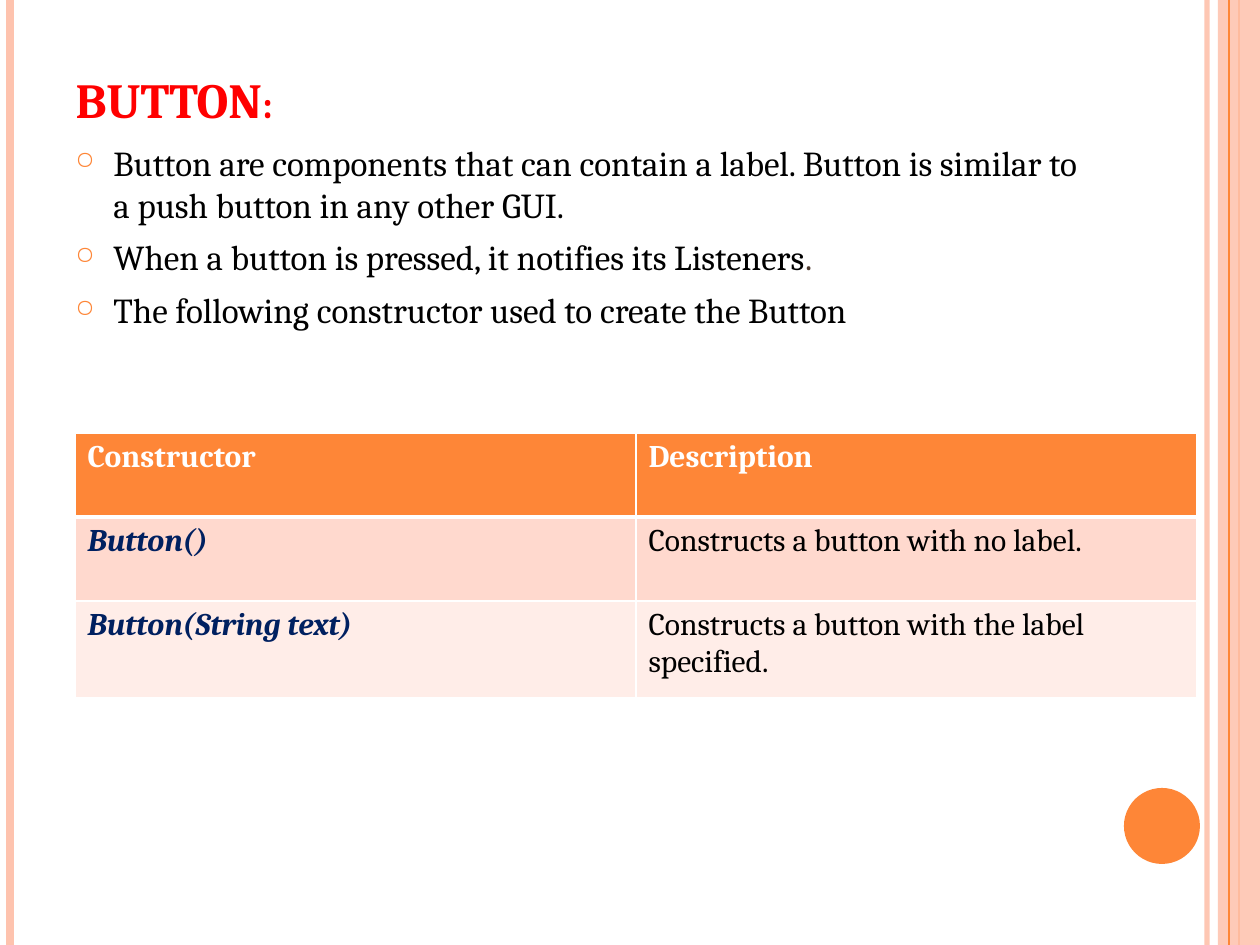
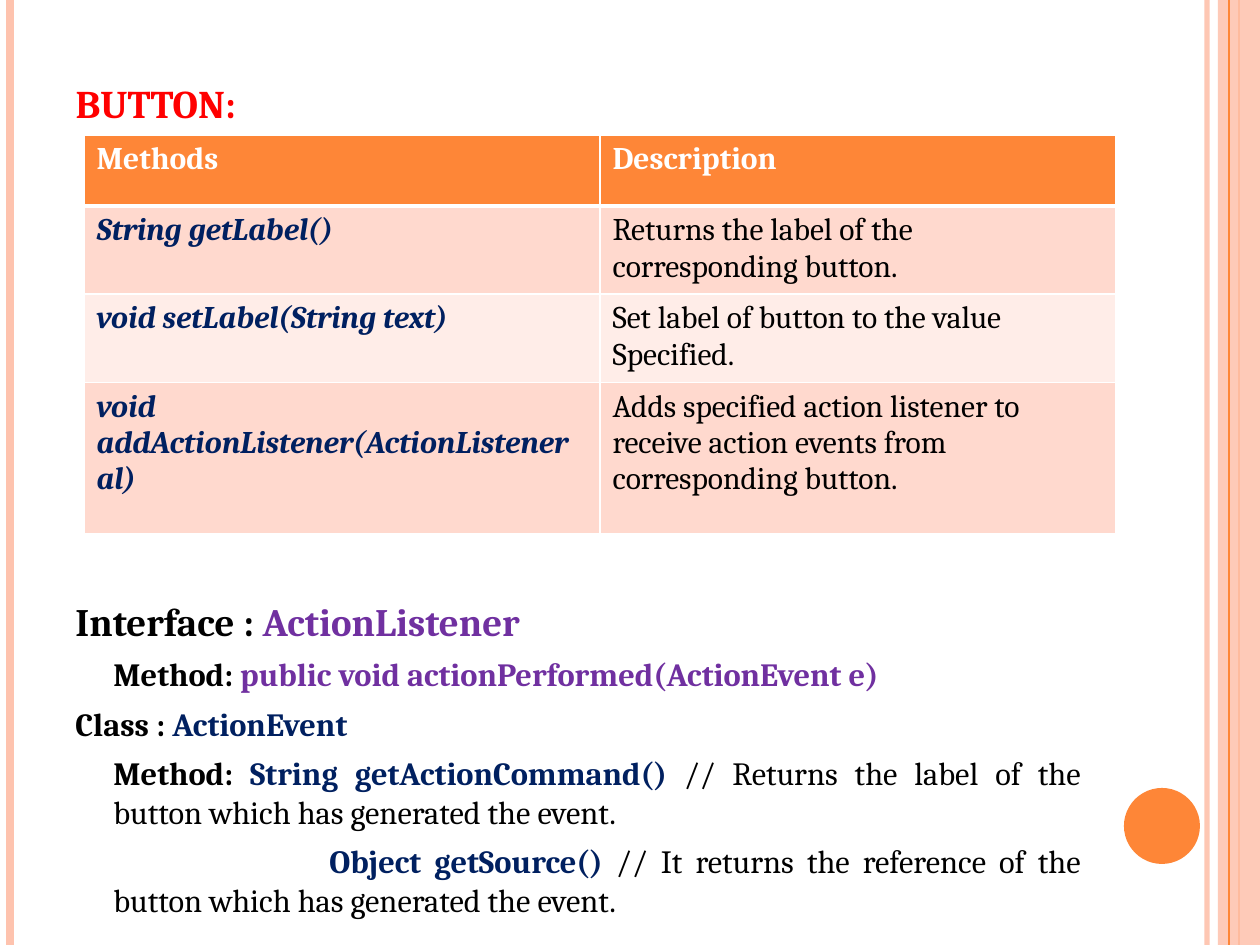
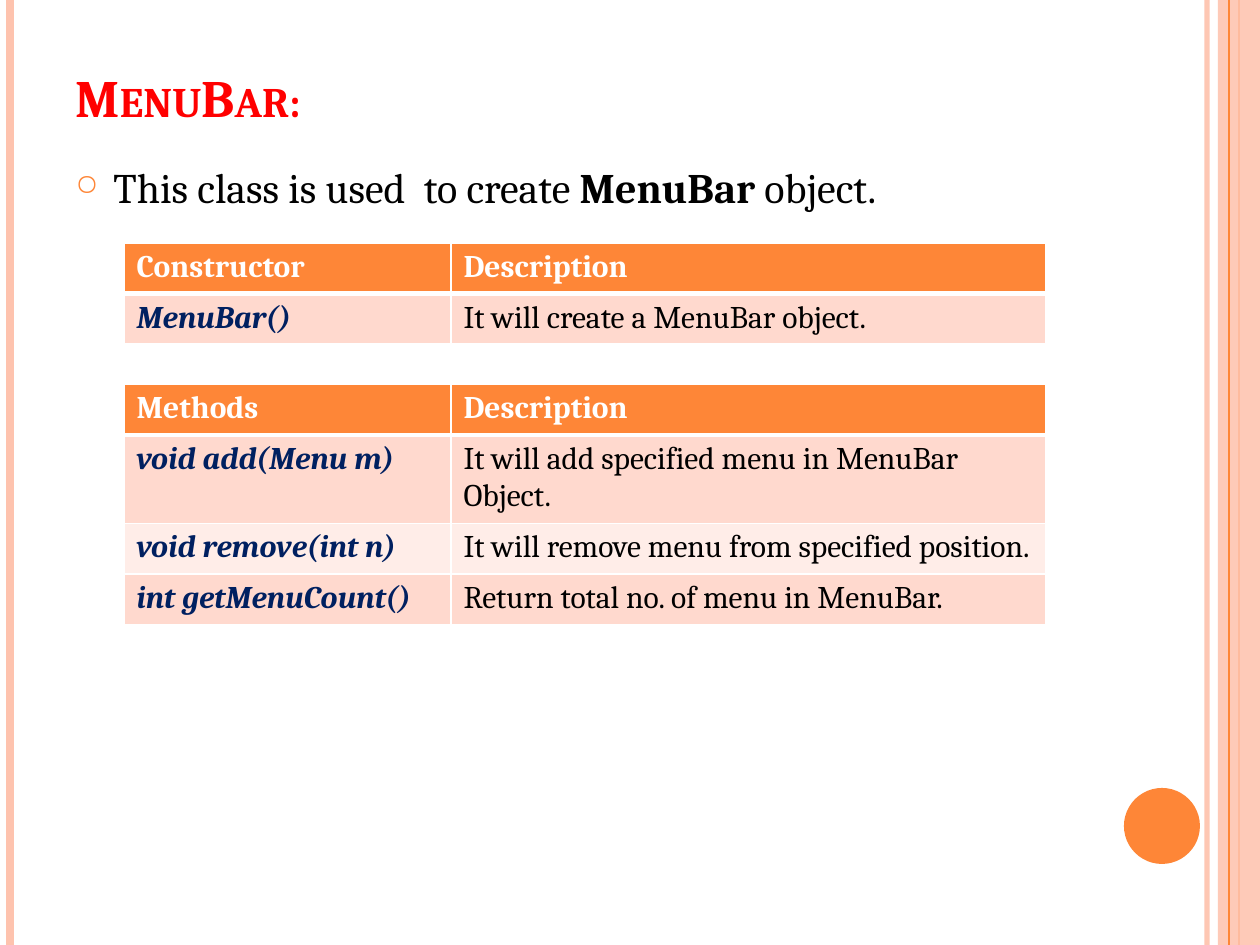
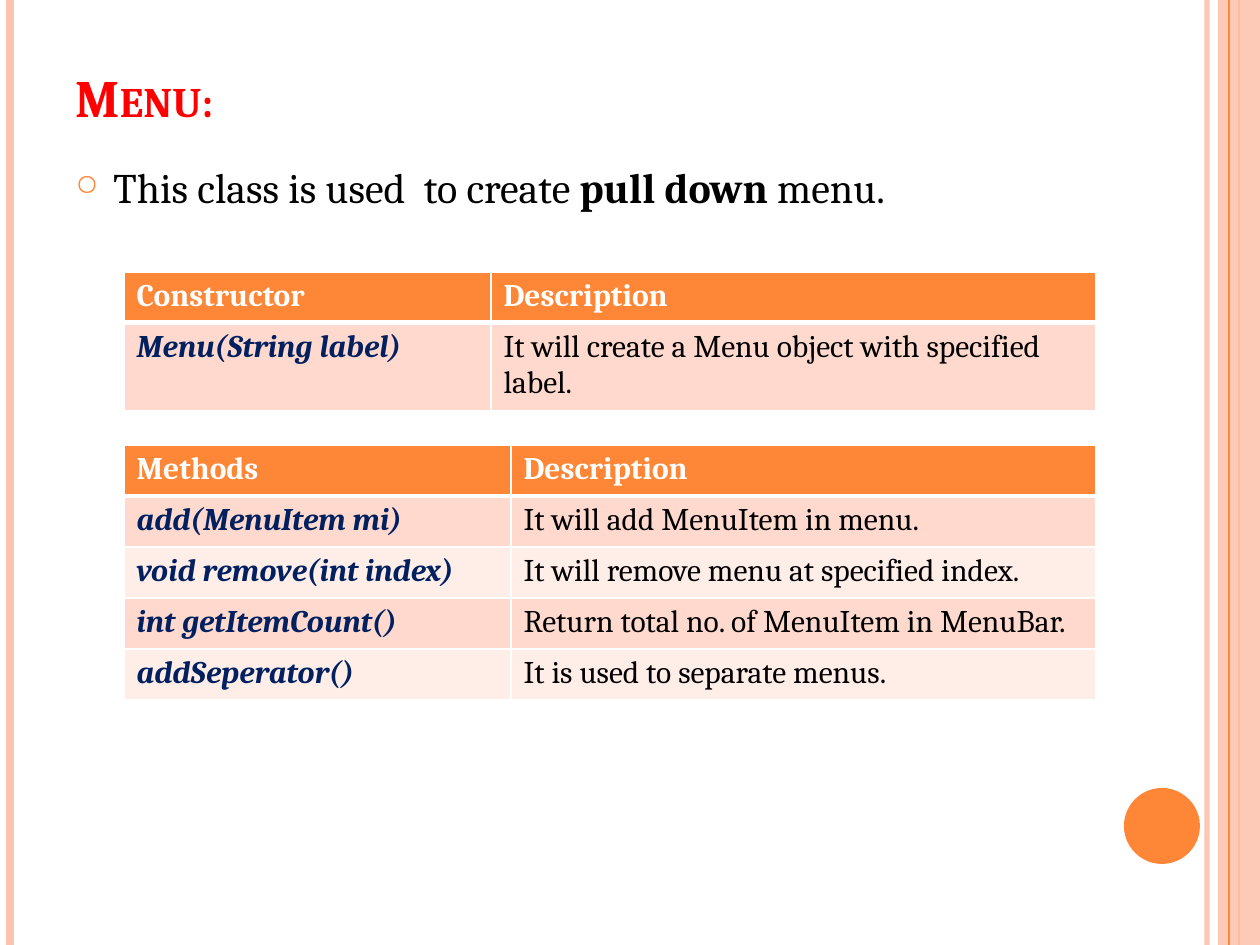
from typing import NamedTuple

from lxml.etree import SubElement
from pptx import Presentation
from pptx.dml.color import RGBColor
from pptx.enum.shapes import MSO_CONNECTOR, MSO_SHAPE
from pptx.enum.text import MSO_ANCHOR, MSO_AUTO_SIZE, PP_ALIGN
from pptx.oxml.ns import qn
from pptx.util import Emu, Pt

FONT = "Cambria"
ORANGE = RGBColor(0xFE, 0x86, 0x37)
PEACH = RGBColor(0xFE, 0xC3, 0xAE)
BAND_DARK = RGBColor(0xFF, 0xD9, 0xCE)
BAND_LIGHT = RGBColor(0xFF, 0xED, 0xE8)
RED = RGBColor(0xFF, 0x00, 0x00)
NAVY = RGBColor(0x00, 0x20, 0x60)
PURPLE = RGBColor(0x70, 0x30, 0xA0)
BROWN = RGBColor(0x4E, 0x3A, 0x2F)
BLACK = RGBColor(0x00, 0x00, 0x00)
WHITE = RGBColor(0xFF, 0xFF, 0xFF)

SLIDE_WIDTH, SLIDE_HEIGHT = 1260, 945
TEXT_LEFT, TEXT_WIDTH = 63, 1030
INDENT = 38


class Span(NamedTuple):
    """A piece of text with one look."""

    text: str
    color: RGBColor = BLACK
    bold: bool = False


class Line(NamedTuple):
    """A body paragraph with its indents in px."""

    spans: list
    size: float
    left: int = INDENT
    first: int = -INDENT
    bullet: bool = False


def px(length):
    """Turn px into EMU at 126 px to the inch."""
    return Emu(round(length * 914400 / 126))


def style_font(font, size, color, bold=False, italic=False):
    """Apply the deck's typeface with the given look."""
    font.name = FONT
    font.size = Pt(size)
    font.color.rgb = color
    font.bold = bold
    font.italic = italic


def set_alpha(shape, percent):
    """Make the explicit colour of a shape partly transparent."""
    color = shape.element.xpath("./p:spPr//a:srgbClr")[0]
    SubElement(color, qn("a:alpha"), val=str(percent * 1000))


def add_rule(slide, x, width):
    """Draw a vertical rule over the full slide height."""
    rule = slide.shapes.add_connector(
        MSO_CONNECTOR.STRAIGHT, px(x), px(0), px(x), px(SLIDE_HEIGHT))
    rule.line.width = Pt(width)
    SubElement(rule.element.spPr, qn("a:effectLst"))
    return rule


def add_colored_rule(slide, x, width, color):
    """Draw a vertical rule in a colour."""
    rule = add_rule(slide, x, width)
    rule.line.color.rgb = color
    return rule


def add_solid(slide, kind, left, top, width, height, color):
    """Draw a filled shape without outline."""
    shape = slide.shapes.add_shape(kind, px(left), px(top), px(width), px(height))
    shape.shadow.inherit = False
    shape.fill.solid()
    shape.fill.fore_color.rgb = color
    shape.line.fill.background()
    return shape


def decorate_layout(layout, slide):
    """Draw the side bands and the disc, then hand them to the layout."""
    inner_rule = add_colored_rule(slide, 1207, 3, PEACH)
    left_rule = add_colored_rule(slide, 10, 4.5, PEACH)
    edge_rule = add_colored_rule(slide, 1239, 1.5, ORANGE)
    band = add_solid(slide, MSO_SHAPE.RECTANGLE, 1218, 0, 42, SLIDE_HEIGHT, PEACH)
    thin_rule = add_colored_rule(slide, 1229, 0.75, ORANGE)
    disc = add_solid(slide, MSO_SHAPE.OVAL, 1124, 788, 76, 76, ORANGE)
    set_alpha(inner_rule, 93)
    set_alpha(band, 87)
    parts = [inner_rule, left_rule, edge_rule, band, thin_rule, disc]
    for number, part in enumerate(parts, start=20):
        part.element.xpath(".//p:cNvPr")[0].set("id", str(number))
        layout.shapes.element.append(part.element)


def set_title(slide, text, size):
    """Place and format the small-caps title."""
    title = slide.shapes.title
    title.left, title.top = px(TEXT_LEFT), px(38)
    title.width, title.height = px(TEXT_WIDTH), px(157)
    frame = title.text_frame
    frame.text = text
    frame.auto_size = MSO_AUTO_SIZE.NONE
    frame.vertical_anchor = MSO_ANCHOR.BOTTOM
    frame.margin_bottom = px(67)
    para = frame.paragraphs[0]
    para.alignment = PP_ALIGN.LEFT
    span = para.runs[0]
    style_font(span.font, size, RED, bold=True)
    span.font._element.set("cap", "small")


def add_bullet(properties):
    """Give a paragraph the small orange ring bullet."""
    color = SubElement(properties, qn("a:buClr"))
    SubElement(color, qn("a:srgbClr"), val=str(ORANGE))
    SubElement(properties, qn("a:buSzPct"), val="70000")
    SubElement(properties, qn("a:buChar"), char="○")


def add_body(slide, top, height, lines, alignment=PP_ALIGN.LEFT):
    """Add the body text, one paragraph for each line."""
    box = slide.shapes.add_textbox(
        px(TEXT_LEFT), px(top), px(TEXT_WIDTH), px(height))
    frame = box.text_frame
    frame.word_wrap = True
    for index, line in enumerate(lines):
        para = frame.add_paragraph() if index else frame.paragraphs[0]
        para.alignment = alignment
        if index:
            para.space_before = Pt(6)
        properties = para._p.get_or_add_pPr()
        properties.set("marL", str(px(line.left)))
        properties.set("indent", str(px(line.first)))
        if line.bullet:
            add_bullet(properties)
        for span in line.spans:
            run = para.add_run()
            run.text = span.text
            style_font(run.font, line.size, span.color, span.bold)


def set_borders(cell, bottom_width):
    """Draw white cell borders, with their own width at the bottom."""
    properties = cell._tc.get_or_add_tcPr()
    widths = {"a:lnL": 1, "a:lnR": 1, "a:lnT": 1, "a:lnB": bottom_width}
    for index, (tag, width) in enumerate(widths.items()):
        border = SubElement(properties, qn(tag), w=str(Pt(width)))
        fill = SubElement(border, qn("a:solidFill"))
        SubElement(fill, qn("a:srgbClr"), val=str(WHITE))
        properties.insert(index, border)


def format_cell(cell, row, column):
    """Colour a cell and its text by its place in the table."""
    cell.fill.solid()
    font = cell.text_frame.paragraphs[0].runs[0].font
    if row == 0:
        cell.fill.fore_color.rgb = ORANGE
        style_font(font, 18, WHITE, bold=True)
    else:
        cell.fill.fore_color.rgb = BAND_DARK if row % 2 else BAND_LIGHT
        signature = column == 0
        style_font(font, 18, NAVY if signature else BLACK, signature, signature)
    set_borders(cell, 1 if row else 3)


def add_reference_table(slide, left, top, widths, heights, heading, entries):
    """Add a table of signatures and their descriptions."""
    rows = [(heading, "Description"), *entries]
    table = slide.shapes.add_table(
        len(rows), len(widths), px(left), px(top),
        px(sum(widths)), px(sum(heights))).table
    for column, width in zip(table.columns, widths):
        column.width = px(width)
    for row, height in zip(table.rows, heights):
        row.height = px(height)
    for row, texts in enumerate(rows):
        for column, text in enumerate(texts):
            cell = table.cell(row, column)
            cell.text = text
            format_cell(cell, row, column)


def build_button_constructors(slide):
    """Introduce Button and its constructors."""
    set_title(slide, "BUTTON:", 28)
    points = [
        [Span("Button are components that can contain a label. "
              "Button is similar to a push button in any other GUI.")],
        [Span("When a button is pressed, it notifies its Listeners"),
         Span(".", BROWN)],
        [Span("The following constructor used to create the Button")],
    ]
    add_body(slide, 135, 757, [Line(spans, 20, bullet=True) for spans in points])
    add_reference_table(slide, 75, 433, [561, 561], [84, 84, 97], "Constructor", [
        ("Button()", "Constructs a button with no label."),
        ("Button(String text)", "Constructs a button with the label specified."),
    ])


def build_button_methods(slide):
    """List the Button methods and the event types."""
    set_title(slide, "button:", 28)
    add_body(slide, 591, 345, [
        Line([Span("Interface : ", bold=True),
              Span("ActionListener", PURPLE, True)], 22.2),
        Line([Span("Method:", bold=True),
              Span(" public void actionPerformed(ActionEvent e)", PURPLE, True)],
             18.5, first=0),
        Line([Span("Class : ", bold=True), Span("ActionEvent", NAVY, True)], 18.5),
        Line([Span("Method:", bold=True),
              Span(" String getActionCommand()", NAVY, True),
              Span(" // Returns the label of the button "
                   "which has generated the event.")], 18.5, first=0),
        Line([Span("Object getSource() ", NAVY, True),
              Span("// It returns the reference of the button "
                   "which has generated the event.")], 18.5, first=216),
    ], PP_ALIGN.JUSTIFY)
    add_reference_table(slide, 84, 135, [516, 516], [71, 88, 88, 151], "Methods", [
        ("String getLabel()", "Returns the label of the corresponding button."),
        ("void setLabel(String text)", "Set label of button to the value Specified."),
        ("void addActionListener(ActionListener al)",
         "Adds specified action listener to receive action events "
         "from corresponding button."),
    ])


def add_class_intro(slide, title, subject, ending):
    """Add the title and the one-line purpose of a menu class."""
    set_title(slide, title, 30)
    spans = [Span("This class is used  to create "),
             Span(subject, bold=True), Span(ending)]
    add_body(slide, 155, 737, [Line(spans, 24, bullet=True)])


def build_menu_bar(slide):
    """Describe the MenuBar class."""
    add_class_intro(slide, "MenuBar:", "MenuBar", " object.")
    widths = [327, 595]
    add_reference_table(slide, 124, 243, widths, [50, 49], "Constructor", [
        ("MenuBar()", "It will create a MenuBar object."),
    ])
    add_reference_table(slide, 124, 384, widths, [51, 85, 51, 51], "Methods", [
        ("void add(Menu m)", "It will add specified menu in MenuBar Object."),
        ("void remove(int n)", "It will remove menu from specified position."),
        ("int getMenuCount()", "Return total no. of menu in MenuBar."),
    ])


def build_menu(slide):
    """Describe the Menu class."""
    add_class_intro(slide, "Menu:", "pull down ", "menu.")
    add_reference_table(slide, 124, 272, [367, 605], [50, 85], "Constructor", [
        ("Menu(String label)", "It will create a Menu object with specified label."),
    ])
    add_reference_table(slide, 124, 445, [387, 585], [51] * 5, "Methods", [
        ("add(MenuItem mi)", "It will add MenuItem in menu."),
        ("void remove(int index)", "It will remove menu at specified index."),
        ("int getItemCount()", "Return total no. of MenuItem in MenuBar."),
        ("addSeperator()", "It is used to separate menus."),
    ])


def main():
    """Build the deck and save it."""
    deck = Presentation()
    deck.slide_width, deck.slide_height = px(SLIDE_WIDTH), px(SLIDE_HEIGHT)
    layout = deck.slide_layouts.get_by_name("Title Only")
    builders = [build_button_constructors, build_button_methods,
                build_menu_bar, build_menu]
    pages = [deck.slides.add_slide(layout) for _ in builders]
    decorate_layout(layout, pages[0])
    for page, build in zip(pages, builders):
        build(page)
    deck.save("out.pptx")


if __name__ == "__main__":
    main()
